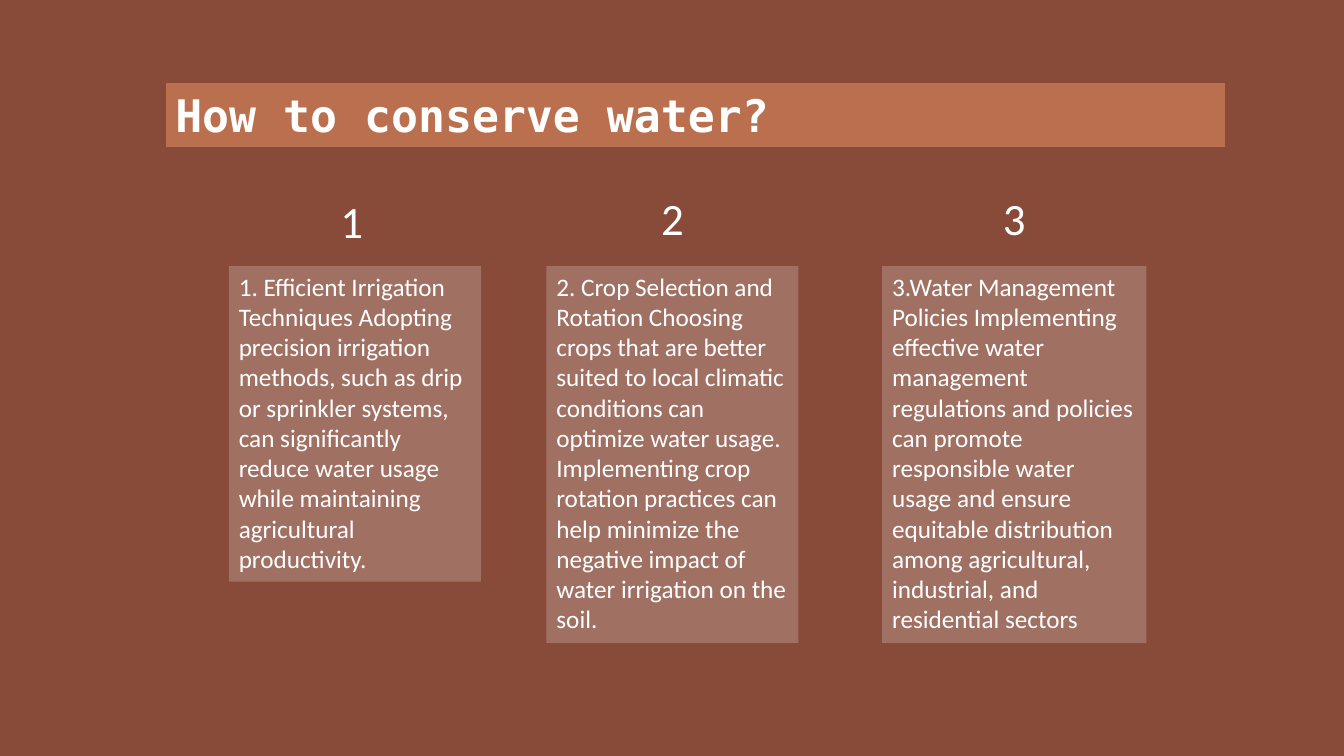
from lxml import etree
from pptx import Presentation
from pptx.dml.color import RGBColor
from pptx.enum.shapes import MSO_SHAPE as SHAPE
from pptx.enum.text import MSO_ANCHOR as ANCHOR, MSO_AUTO_SIZE as AUTO, PP_ALIGN as ALIGN
from pptx.oxml.ns import qn
from pptx.util import Inches, Pt

BROWN, COPPER, PALE, WHITE = "884A39", "BA704F", "F2F2F2", "FFFFFF"
BODY_TOP = 35.2

# text, left, width, height, number left, number top (percent of the slide)
COLUMNS = [
    ("1. Efficient Irrigation Techniques Adopting precision irrigation methods, "
     "such as drip or sprinkler systems, can significantly reduce water usage "
     "while maintaining agricultural productivity.",
     17.03, 18.75, 41.73, 23.18, 24.53),
    ("2. Crop Selection and Rotation Choosing crops that are better suited to "
     "local climatic conditions can optimize water usage. Implementing crop "
     "rotation practices can help minimize the negative impact of water "
     "irrigation on the soil.",
     40.66, 18.75, 49.87, 47.04, 24.13),
    ("3.Water Management Policies Implementing effective water management "
     "regulations and policies can promote responsible water usage and ensure "
     "equitable distribution among agricultural, industrial, and residential "
     "sectors",
     65.64, 19.65, 49.87, 72.47, 24.13),
]


def rgb(value):
    return RGBColor.from_string(value)


class Deck:
    title_font = {"name": "DejaVu Sans Mono", "size": Pt(32), "bold": True}
    body_font = {"name": "Calibri", "size": Pt(18)}
    number_font = {"name": "Calibri", "size": Pt(32)}

    def __init__(self):
        self.prs = Presentation()
        self.prs.slide_width, self.prs.slide_height = Inches(13.33), Inches(7.5)
        self.s = None

    def add_slide(self, color):
        self.s = self.prs.slides.add_slide(self.prs.slide_layouts[6])
        fill = self.s.background.fill
        fill.solid()
        fill.fore_color.rgb = rgb(color)

    def box(self, kind, area, color, text, font, align=ALIGN.LEFT,
            anchor=ANCHOR.TOP, auto_size=AUTO.SHAPE_TO_FIT_TEXT):
        """Add a filled shape with text; area is left, top, width, height in percent."""
        w, h = self.prs.slide_width, self.prs.slide_height
        sp = self.s.shapes.add_shape(
            kind, *(int(side * share / 100) for side, share in zip((w, h, w, h), area)))
        sp.shadow.inherit = False
        sp.fill.solid()
        sp.fill.fore_color.rgb = rgb(color)
        sp.line.fill.background()
        tf = sp.text_frame
        for key, value in {"word_wrap": True, "vertical_anchor": anchor,
                           "auto_size": auto_size}.items():
            setattr(tf, key, value)
        p = tf.paragraphs[0]
        p.alignment = align
        r = p.add_run()
        r.text = text
        for key, value in font.items():
            setattr(r.font, key, value)
        r.font.color.rgb = rgb(WHITE)
        return sp

    def title(self, text, area):
        sp = self.box(SHAPE.RECTANGLE, area, COPPER, text, self.title_font)
        sp.line.color.rgb = rgb(BROWN)
        sp.line.width = Pt(0.5)

    def body(self, text, area, opacity=23):
        sp = self.box(SHAPE.RECTANGLE, area, PALE, text, self.body_font)
        color = sp.fill._xPr.find(qn("a:solidFill"))[0]
        etree.SubElement(color, qn("a:alpha"), val=str(opacity * 1000))

    def number(self, text, left, top):
        self.box(SHAPE.ROUNDED_RECTANGLE, (left, top, 6, 9.2), BROWN, text,
                 self.number_font, ALIGN.CENTER, ANCHOR.MIDDLE, AUTO.NONE)


def main():
    deck = Deck()
    deck.add_slide(BROWN)
    deck.title("How to conserve water?", (12.3, 10.93, 78.85, 8.53))
    for i, (text, left, width, height, num_left, num_top) in enumerate(COLUMNS, 1):
        deck.body(text, (left, BODY_TOP, width, height))
        deck.number(str(i), num_left, num_top)
    deck.prs.save("out.pptx")


if __name__ == "__main__":
    main()
